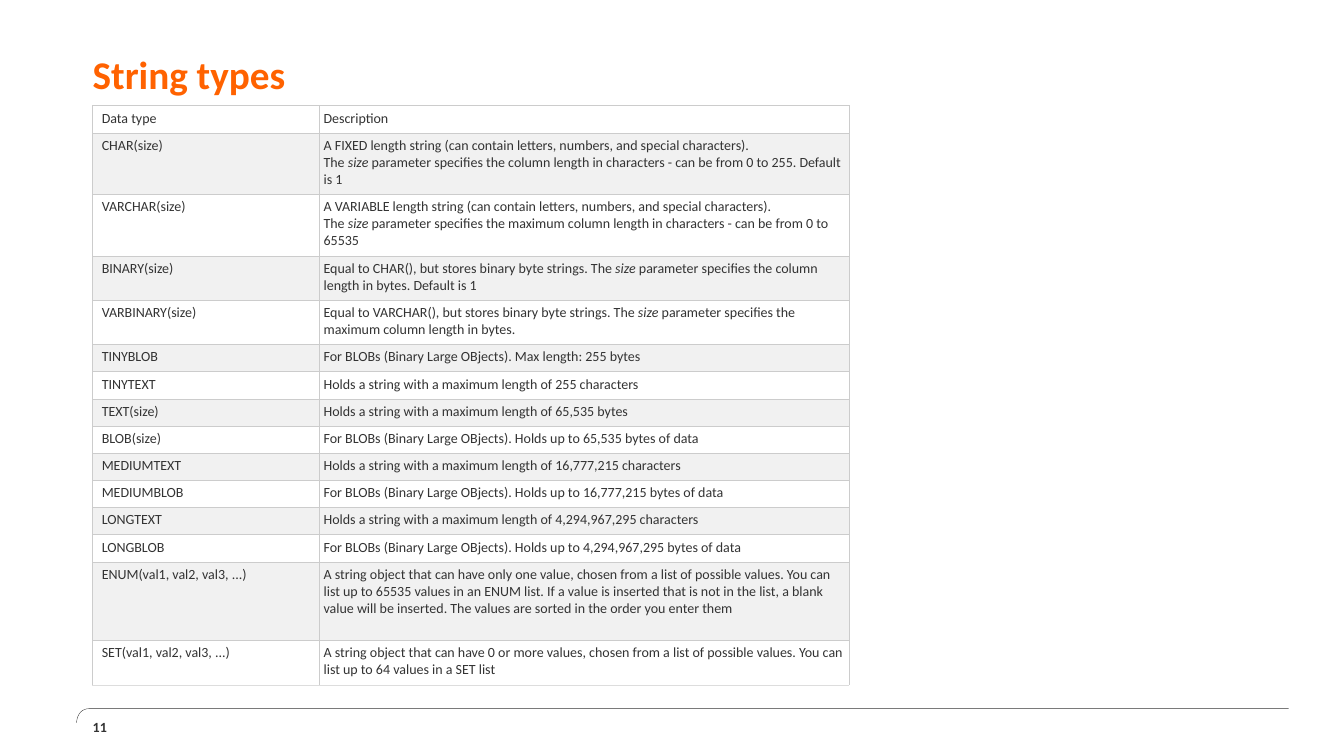
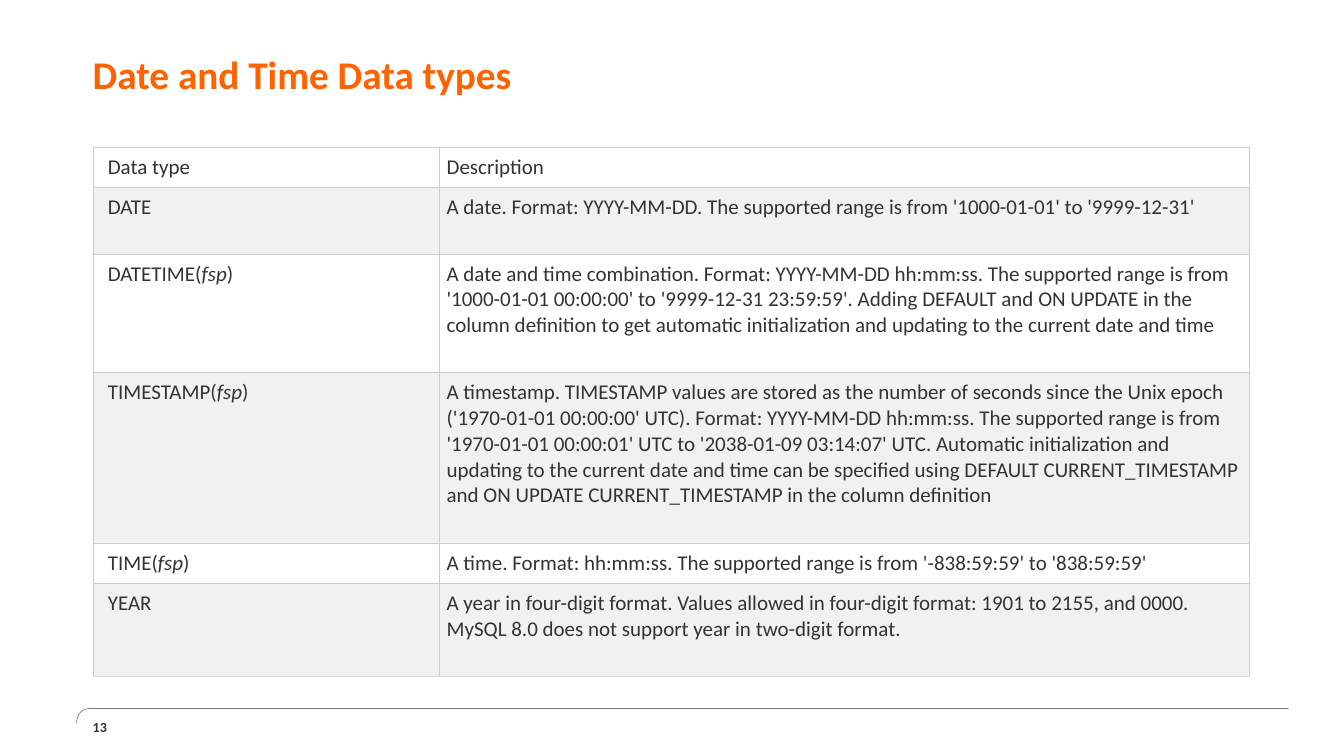
from lxml import etree
from pptx import Presentation
from pptx.dml.color import RGBColor
from pptx.enum.text import MSO_ANCHOR
from pptx.oxml.ns import qn
from pptx.util import Inches, Pt

MIDDLE = MSO_ANCHOR.MIDDLE
BLANK = 6
FONT = "Calibri"
NBSP = chr(160)
COLORS = {
    "title": "FF6200",
    "text": "333333",
    "border": "CCCCCC",
    "last_border": "DDDDDD",
    "plain": "FFFFFF",
    "shaded": "F1F1F1",
}

STRING_ROWS = [
    (0.27, "Data type", "Description"),
    (0.61, "CHAR(size)",
     "A FIXED length string (can contain letters, numbers, and special characters). "
     "The~*size*~parameter specifies the column length in characters - "
     "can be from 0 to 255. Default is 1"),
    (0.61, "VARCHAR(size)",
     "A VARIABLE length string (can contain letters, numbers, and special characters). "
     "The~*size*~parameter specifies the maximum column length in characters - "
     "can be from 0 to 65535"),
    (0.44, "BINARY(size)",
     "Equal to CHAR(), but stores binary byte strings. The~*size*~parameter "
     "specifies the column length in bytes. Default is 1"),
    (0.44, "VARBINARY(size)",
     "Equal to VARCHAR(), but stores binary byte strings. The~*size*~parameter "
     "specifies the maximum column length in bytes."),
    (0.27, "TINYBLOB", "For BLOBs (Binary Large OBjects). Max length: 255 bytes"),
    (0.27, "TINYTEXT", "Holds a string with a maximum length of 255 characters"),
    (0.27, "TEXT(size)", "Holds a string with a maximum length of 65,535 bytes"),
    (0.27, "BLOB(size)",
     "For BLOBs (Binary Large OBjects). Holds up to 65,535 bytes of data"),
    (0.27, "MEDIUMTEXT", "Holds a string with a maximum length of 16,777,215 characters"),
    (0.27, "MEDIUMBLOB",
     "For BLOBs (Binary Large OBjects). Holds up to 16,777,215 bytes of data"),
    (0.27, "LONGTEXT", "Holds a string with a maximum length of 4,294,967,295 characters"),
    (0.27, "LONGBLOB",
     "For BLOBs (Binary Large OBjects). Holds up to 4,294,967,295 bytes of data"),
    (0.78, "ENUM(val1, val2, val3, ...)",
     "A string object that can have only one value, chosen from a list of possible "
     "values. You can list up to 65535 values in an ENUM list. If a value is inserted "
     "that is not in the list, a blank value will be inserted. The values are sorted "
     "in the order you enter them"),
    (0.44, "SET(val1, val2, val3, ...)",
     "A string object that can have 0 or more values, chosen from a list of possible "
     "values. You can list up to 64 values in a SET list"),
]

DATE_ROWS = [
    (0.4, "Data type", "Description"),
    (0.66, "DATE",
     "A date. Format: YYYY-MM-DD. The supported range is from "
     "'1000-01-01' to '9999-12-31'"),
    (1.18, "DATETIME(*fsp*)",
     "A date and time combination. Format: YYYY-MM-DD hh:mm:ss. The supported range is "
     "from '1000-01-01 00:00:00' to '9999-12-31 23:59:59'. Adding DEFAULT and ON UPDATE "
     "in the column definition to get automatic initialization and updating to the "
     "current date and time"),
    (1.69, "TIMESTAMP(*fsp*)",
     "A timestamp. TIMESTAMP values are stored as the number of seconds since the Unix "
     "epoch ('1970-01-01 00:00:00' UTC). Format: YYYY-MM-DD hh:mm:ss. The supported "
     "range is from '1970-01-01 00:00:01' UTC to '2038-01-09 03:14:07' UTC. Automatic "
     "initialization and updating to the current date and time can be specified using "
     "DEFAULT CURRENT_TIMESTAMP and ON UPDATE CURRENT_TIMESTAMP in the column definition"),
    (0.4, "TIME(*fsp*)",
     "A time. Format: hh:mm:ss. The supported range is from '-838:59:59' to '838:59:59'"),
    (0.92, "YEAR",
     "A year in four-digit format. Values allowed in four-digit format: 1901 to 2155, "
     "and 0000.\nMySQL 8.0 does not support year in two-digit format."),
]


def rgb(name):
    return RGBColor.from_string(COLORS[name])


def add_run(p, text, size, color="text", bold=False, italic=False):
    r = p.add_run()
    r.text = text
    r.font.name = FONT
    r.font.size = Pt(size)
    r.font.bold = bold
    r.font.italic = italic
    r.font.color.rgb = rgb(color)


def add_label(slide, box, text, size, color="text", spacing=None):
    tf = slide.shapes.add_textbox(*map(Inches, box)).text_frame
    tf.word_wrap = True
    tf.vertical_anchor = MIDDLE
    tf.margin_left = tf.margin_right = tf.margin_top = tf.margin_bottom = 0
    p = tf.paragraphs[0]
    if spacing:
        p.line_spacing = Pt(spacing)
    add_run(p, text, size, color, bold=True)


def add_footer_rule(slide, left, top, width, height):
    corner = 0.13
    steps = 12
    points = []
    for i in range(steps + 1):
        t = i / steps
        x = left + corner * (1 - t) ** 3
        y = top + height * (3 * (1 - t) * t ** 2 + t ** 3)
        points.append((Inches(x), Inches(y)))
    fb = slide.shapes.build_freeform(Inches(left + width), Inches(top))
    fb.add_line_segments(points, close=False)
    sp = fb.convert_to_shape()
    sp.shadow.inherit = False
    sp.fill.background()
    sp.line.color.rgb = rgb("text")
    sp.line.width = Pt(0.25)


def set_borders(cell, bottom):
    tc_pr = cell._tc.get_or_add_tcPr()
    for side in "LRTB":
        ln = etree.SubElement(tc_pr, qn(f"a:ln{side}"), w=str(Pt(0.75)))
        fill = etree.SubElement(ln, qn("a:solidFill"))
        name = bottom if side == "B" else "border"
        etree.SubElement(fill, qn("a:srgbClr"), val=COLORS[name])


def fill_cell(cell, text, size, pad, left_pad):
    cell.margin_left = Inches(left_pad)
    cell.margin_right = cell.margin_top = cell.margin_bottom = Inches(pad)
    p = cell.text_frame.paragraphs[0]
    for i, line in enumerate(text.replace("~", NBSP).split("\n")):
        if i:
            p.add_line_break()
        for j, part in enumerate(line.split("*")):
            add_run(p, part, size, italic=j % 2 == 1)


def add_type_table(slide, left, top, widths, rows, size, pads):
    height = sum(row[0] for row in rows)
    box = map(Inches, (left, top, sum(widths), height))
    table = slide.shapes.add_table(len(rows), len(widths), *box).table
    table.first_row = table.horz_banding = False
    for column, width in zip(table.columns, widths):
        column.width = Inches(width)
    for i, (row_height, *texts) in enumerate(rows):
        table.rows[i].height = Inches(row_height)
        bottom = "last_border" if i == len(rows) - 1 else "border"
        for j, text in enumerate(texts):
            cell = table.cell(i, j)
            fill_cell(cell, text, size, pads[1], pads[j])
            set_borders(cell, bottom)
            cell.fill.solid()
            cell.fill.fore_color.rgb = rgb("shaded" if i % 2 else "plain")


def add_type_slide(prs, title, number, **table):
    slide = prs.slides.add_slide(prs.slide_layouts[BLANK])
    add_footer_rule(slide, 0.76, 7.03, 12.02, 0.14)
    add_label(slide, (0.92, 0.31, 11.46, 0.93), title, 28, "title", spacing=28)
    add_label(slide, (0.92, 7.11, 0.54, 0.21), number, 10)
    add_type_table(slide, **table)


def main():
    prs = Presentation()
    prs.slide_width = Inches(13.33)
    prs.slide_height = Inches(7.5)
    add_type_slide(prs, "String types", "11", left=0.92, top=1.05,
                   widths=(2.25, 5.25), rows=STRING_ROWS, size=10, pads=(0.09, 0.04))
    add_type_slide(prs, "Date and Time Data types", "13", left=0.93, top=1.46,
                   widths=(3.43, 8.03), rows=DATE_ROWS, size=15, pads=(0.14, 0.07))
    prs.save("out.pptx")


if __name__ == "__main__":
    main()
